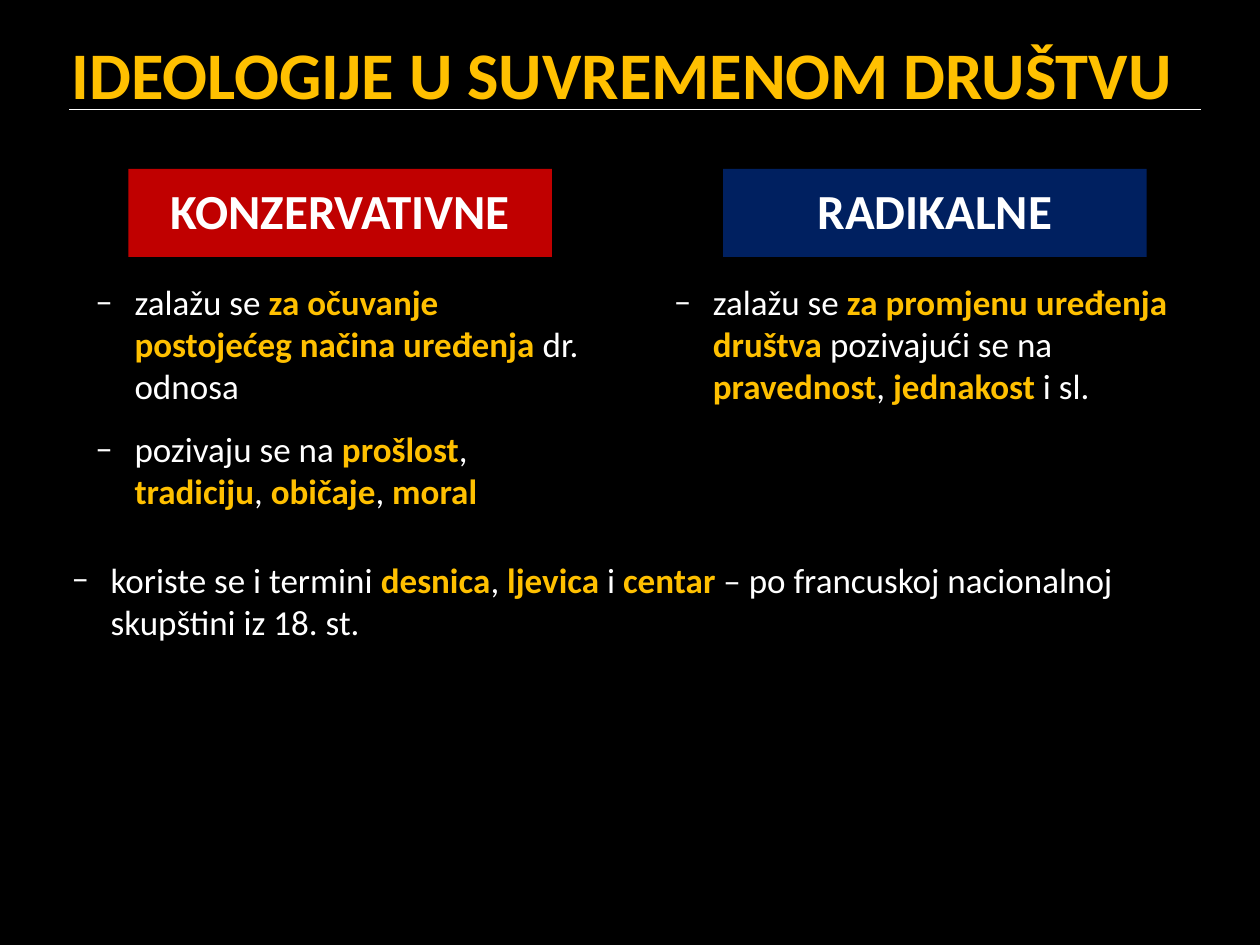
from lxml.etree import SubElement
from pptx import Presentation
from pptx.dml.color import RGBColor
from pptx.enum.shapes import MSO_CONNECTOR as Connector, MSO_SHAPE as Shape
from pptx.enum.text import MSO_ANCHOR as Anchor, PP_ALIGN as Align
from pptx.oxml.ns import qn
from pptx.util import Inches, Pt

WHITE, GOLD, BLACK = "FFFFFF", "FFC000", "000000"
FONT = "Calibri"
INDENT = Inches(0.31)
HEADING_TOP, HEADING_WIDTH, HEADING_HEIGHT = 1.34, 3.36, 0.7

TITLE = "IDEOLOGIJE U SUVREMENOM DRUŠTVU"
HEADINGS = [
    ("KONZERVATIVNE", "C00000", 1.02),
    ("RADIKALNE", "002060", 5.74),
]
# Each point alternates plain and highlighted runs.
POINTS = [
    ((0.66, 2.18, 4.06, 1.95), [
        ["zalažu se ", "za očuvanje postojećeg načina uređenja", " dr. odnosa"],
        ["pozivaju se na ", "prošlost", ", ", "tradiciju", ", ", "običaje", ", ", "moral"],
    ]),
    ((5.25, 2.18, 4.53, 1.11), [
        ["zalažu se ", "za promjenu uređenja društva ", "pozivajući se na ",
         "pravednost", ", ", "jednakost", " i sl."],
    ]),
    ((0.47, 4.38, 9.3, 0.77), [
        ["koriste se i termini ", "desnica", ", ", "ljevica", " i ", "centar",
         " – po francuskoj nacionalnoj skupštini iz 18. st."],
    ]),
]


def rgb(color):
    """Turn a hex string into a colour."""
    return RGBColor.from_string(color)


def add_run(paragraph, text, size, color, bold):
    """Append one formatted run."""
    run = paragraph.add_run()
    run.text = text
    run.font.name, run.font.size, run.font.bold = FONT, Pt(size), bold
    run.font.color.rgb = rgb(color)


def add_text_frame(slide, box):
    """Add a wrapping text box and return its frame."""
    frame = slide.shapes.add_textbox(*map(Inches, box)).text_frame
    frame.word_wrap = True
    return frame


def add_dash(paragraph):
    """Give a paragraph a hanging white dash."""
    props = paragraph._p.get_or_add_pPr()
    props.set("marL", str(INDENT))
    props.set("indent", str(-INDENT))
    SubElement(SubElement(props, qn("a:buClr")), qn("a:srgbClr")).set("val", WHITE)
    SubElement(props, qn("a:buFont")).set("typeface", FONT)
    SubElement(props, qn("a:buChar")).set("char", "–")


def add_title(slide):
    """Add the title and the rule under it."""
    rule = slide.shapes.add_connector(
        Connector.STRAIGHT, Inches(0.55), Inches(0.87), Inches(9.53), Inches(0.87))
    rule.line.color.rgb = rgb(WHITE)
    rule.line.width = Pt(1)
    SubElement(rule._element.spPr, qn("a:effectLst"))
    frame = add_text_frame(slide, (0.47, 0.22, 9.77, 0.72))
    frame.vertical_anchor = Anchor.MIDDLE
    add_run(frame.paragraphs[0], TITLE, 38, GOLD, True)


def add_heading(slide, label, color, left):
    """Add one coloured column heading."""
    heading = slide.shapes.add_shape(Shape.RECTANGLE, *map(
        Inches, (left, HEADING_TOP, HEADING_WIDTH, HEADING_HEIGHT)))
    heading.shadow.inherit = False
    heading.fill.solid()
    heading.fill.fore_color.rgb = rgb(color)
    heading.line.fill.background()
    heading.text_frame.vertical_anchor = Anchor.MIDDLE
    paragraph = heading.text_frame.paragraphs[0]
    paragraph.alignment = Align.CENTER
    paragraph.line_spacing = 0.93
    add_run(paragraph, label, 28, WHITE, True)


def add_points(slide, box, points):
    """Add a text box of dashed points."""
    frame = add_text_frame(slide, box)
    for number, parts in enumerate(points):
        paragraph = frame.add_paragraph() if number else frame.paragraphs[0]
        if number:
            paragraph.space_before = Pt(12)
        add_dash(paragraph)
        for position, text in enumerate(parts):
            highlighted = position % 2 == 1
            add_run(paragraph, text, 20, GOLD if highlighted else WHITE, highlighted)


def main():
    """Build and save the slide."""
    deck = Presentation()
    deck.slide_width, deck.slide_height = Inches(10), Inches(7.5)
    slide = deck.slides.add_slide(deck.slide_layouts[6])
    slide.background.fill.solid()
    slide.background.fill.fore_color.rgb = rgb(BLACK)
    add_title(slide)
    for heading in HEADINGS:
        add_heading(slide, *heading)
    for box, points in POINTS:
        add_points(slide, box, points)
    deck.save("out.pptx")


if __name__ == "__main__":
    main()
